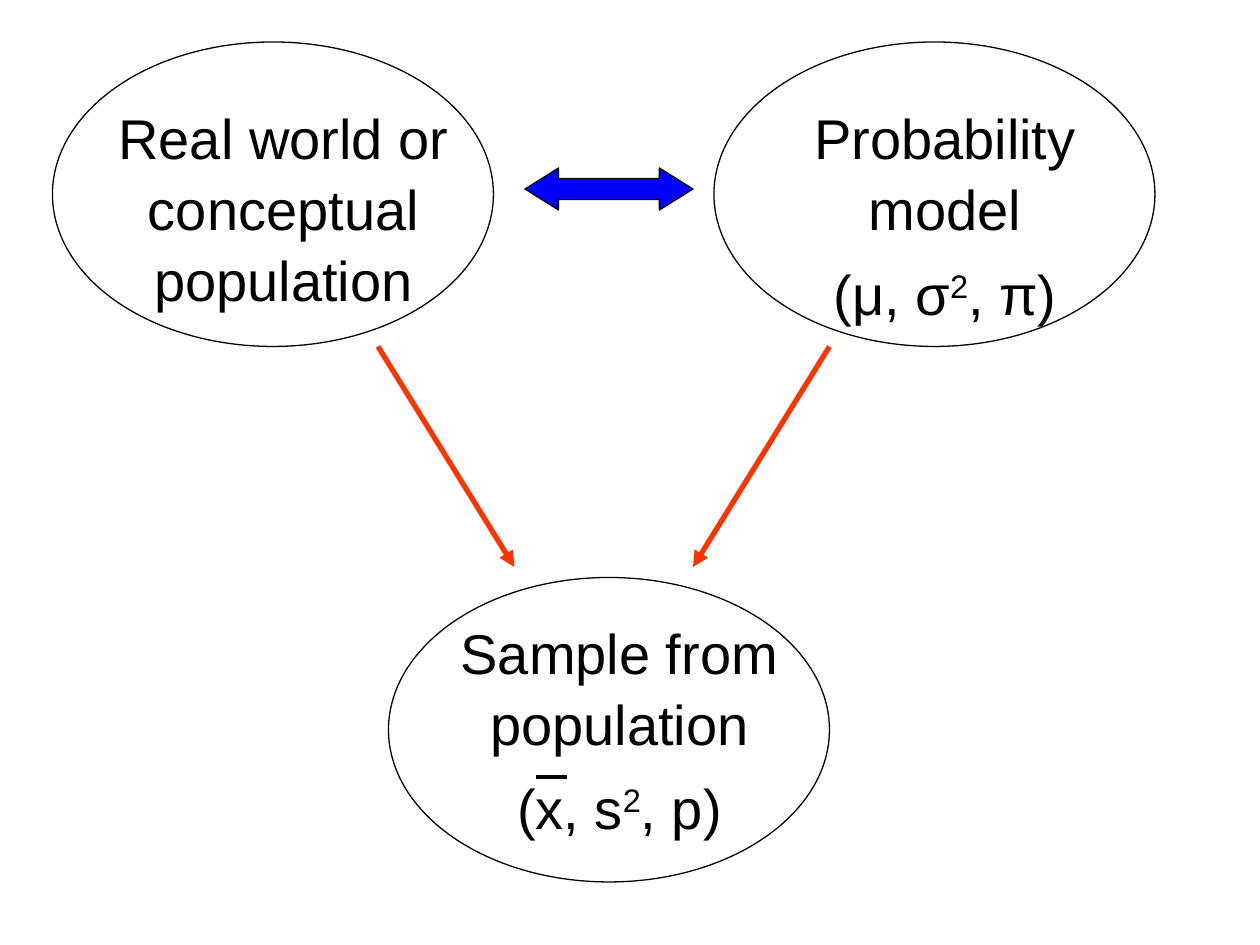
from dataclasses import dataclass

from lxml import etree
from pptx import Presentation
from pptx.dml.color import RGBColor
from pptx.enum.shapes import MSO_CONNECTOR, MSO_SHAPE
from pptx.enum.text import PP_ALIGN
from pptx.oxml.ns import qn
from pptx.util import Pt

ELLIPSE = MSO_SHAPE.OVAL
DOUBLE_ARROW = MSO_SHAPE.LEFT_RIGHT_ARROW
STRAIGHT = MSO_CONNECTOR.STRAIGHT
CENTER = PP_ALIGN.CENTER

COLORS = {"ink": "000000", "link": "0000FF", "sampling": "FF3300"}
ELLIPSE_W, ELLIPSE_H = 252, 174
LABEL_W, LABEL_H = 204, 138


@dataclass
class Run:
    text: str
    superscript: bool = False


@dataclass
class Concept:
    left: float
    top: float
    label_left: float
    label_top: float
    paragraphs: list[list[Run]]


@dataclass
class Line:
    x1: float
    y1: float
    x2: float
    y2: float
    color: str
    width: float
    arrow: bool = False


def rgb(name: str) -> RGBColor:
    return RGBColor.from_string(COLORS[name])


def outline(s) -> None:
    s.shadow.inherit = False
    s.line.color.rgb = rgb("ink")
    s.line.width = Pt(0.75)


def draw_label(shapes, concept: Concept) -> None:
    s = shapes.add_textbox(Pt(concept.label_left), Pt(concept.label_top),
                           Pt(LABEL_W), Pt(LABEL_H))
    tf = s.text_frame
    tf.word_wrap = True
    for i, runs in enumerate(concept.paragraphs):
        p = tf.add_paragraph() if i else tf.paragraphs[0]
        p.alignment = CENTER
        p.line_spacing = 1.05
        if i:
            p.space_before = Pt(8)
        for run in runs:
            r = p.add_run()
            r.text = run.text
            r.font.name = "Arial"
            r.font.size = Pt(32)
            r.font.color.rgb = rgb("ink")
            if run.superscript:
                r.font._element.set("baseline", "30000")


def draw_ellipse(shapes, concept: Concept) -> None:
    s = shapes.add_shape(ELLIPSE, Pt(concept.left), Pt(concept.top),
                         Pt(ELLIPSE_W), Pt(ELLIPSE_H))
    s.fill.background()
    outline(s)


def draw_line(shapes, line: Line) -> None:
    s = shapes.add_connector(STRAIGHT, Pt(line.x1), Pt(line.y1),
                             Pt(line.x2), Pt(line.y2))
    s.line.color.rgb = rgb(line.color)
    s.line.width = Pt(line.width)
    if line.arrow:
        etree.SubElement(s.line._get_or_add_ln(), qn("a:tailEnd"), type="triangle")
    etree.SubElement(s._element.spPr, qn("a:effectLst"))


def squared(before: str, after: str) -> list[Run]:
    return [Run(before), Run("2", superscript=True), Run(after)]


CONCEPTS = [
    Concept(30, 24, 60, 54, [[Run("Real world or conceptual population")]]),
    Concept(408, 24, 438, 54, [[Run("Probability model")], squared("(μ, σ", ", π)")]),
    Concept(222, 330, 252, 348, [[Run("Sample from population")], squared("(x, s", ", p)")]),
]
LINES = [
    Line(306, 444, 324, 444, "ink", 2.25),  # bar over the sample mean
    Line(216, 198, 294, 324, "sampling", 3, arrow=True),
    Line(474, 198, 396, 324, "sampling", 3, arrow=True),
]


def main() -> None:
    prs = Presentation()
    prs.slide_width, prs.slide_height = Pt(720), Pt(540)
    shapes = prs.slides.add_slide(prs.slide_layouts[6]).shapes

    # Concepts: labels and their ellipses
    for concept in CONCEPTS:
        draw_label(shapes, concept)
        draw_ellipse(shapes, concept)

    # Double arrow between population and model
    s = shapes.add_shape(DOUBLE_ARROW, Pt(300), Pt(96), Pt(96), Pt(24))
    s.adjustments[0], s.adjustments[1] = 0.5, 0.8
    s.fill.solid()
    s.fill.fore_color.rgb = rgb("link")
    outline(s)

    # Mean bar and sampling arrows
    for line in LINES:
        draw_line(shapes, line)

    prs.save("out.pptx")


if __name__ == "__main__":
    main()
